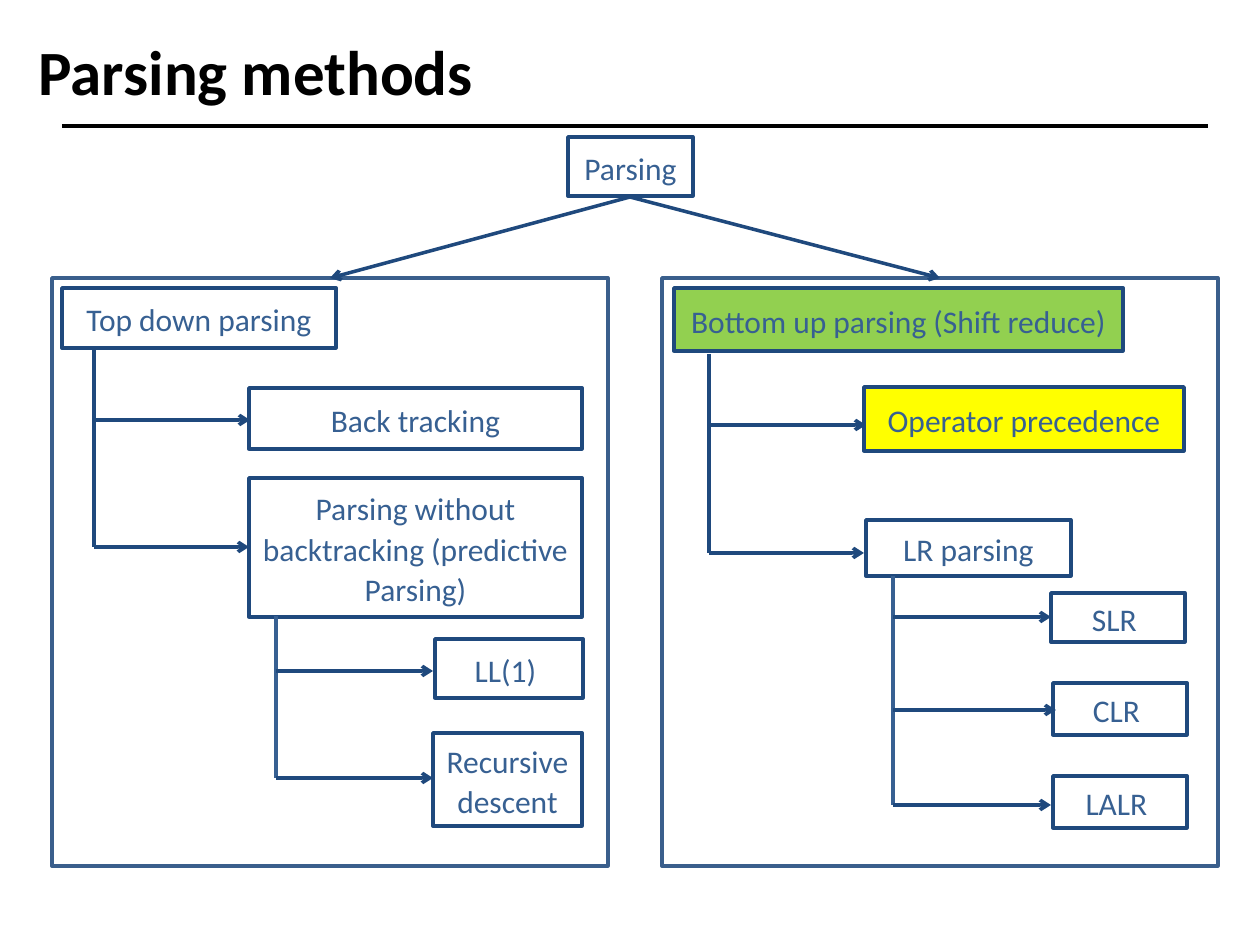
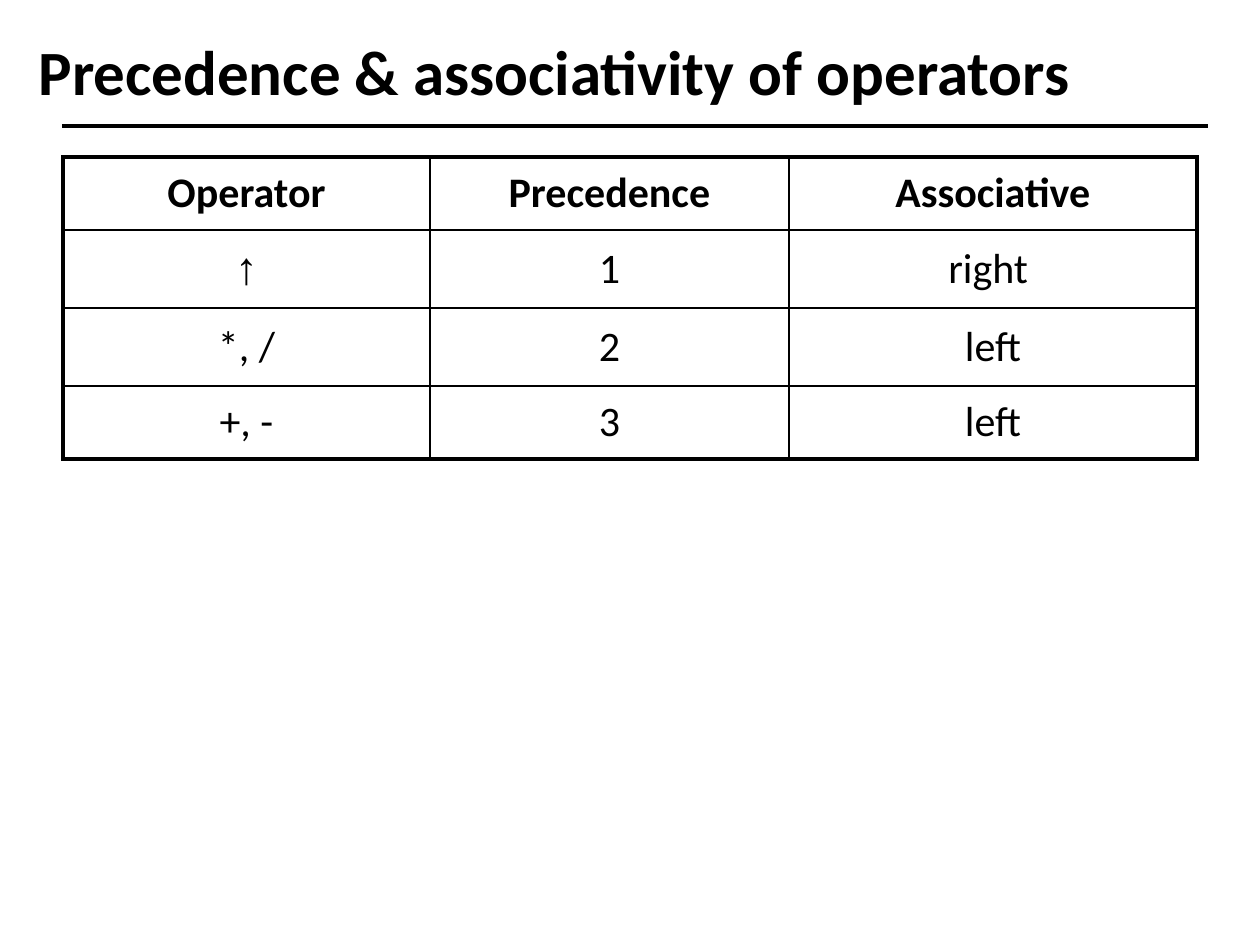
from lxml.etree import SubElement
from pptx import Presentation
from pptx.dml.color import RGBColor
from pptx.enum.shapes import MSO_CONNECTOR, MSO_SHAPE
from pptx.enum.text import MSO_ANCHOR, MSO_AUTO_SIZE, PP_ALIGN
from pptx.oxml.ns import qn
from pptx.util import Inches, Pt

PX = 7257  # EMU in one px, 126 px to the inch
FONT = "Calibri"
BLACK = "000000"
NAVY = "1F497D"
BLUE = "376092"
FRAME_BLUE = "3A5F8C"
GREEN = "92D050"
YELLOW = "FFFF00"
hex_colour = RGBColor.from_string


def add_run(paragraph, text, size, colour, bold=False, font=FONT):
    run = paragraph.add_run()
    run.text = text
    run.font.name = font
    run.font.size = Pt(size)
    run.font.bold = bold
    run.font.color.rgb = hex_colour(colour)


def draw_line(slide, x1, y1, x2, y2, colour=NAVY, width=2, arrow=False):
    line = slide.shapes.add_connector(
        MSO_CONNECTOR.STRAIGHT, x1 * PX, y1 * PX, x2 * PX, y2 * PX)
    line.line.color.rgb = hex_colour(colour)
    line.line.width = Pt(width)
    if arrow:
        SubElement(line.line._get_or_add_ln(), qn("a:tailEnd"), type="arrow")
    SubElement(line._element.spPr, qn("a:effectLst"))


deck = Presentation()
deck.slide_width, deck.slide_height = Inches(10), Inches(7.5)

# Both slides: title with a rule below it
slides = []
for heading in ("Parsing methods", "Precedence & associativity of operators"):
    slide = deck.slides.add_slide(deck.slide_layouts[5])
    title = slide.shapes.title
    title.left, title.top = 26 * PX, 15 * PX
    title.width, title.height = 1207 * PX, 111 * PX
    frame = title.text_frame
    frame.word_wrap = True
    frame.auto_size = MSO_AUTO_SIZE.NONE
    frame.vertical_anchor = MSO_ANCHOR.MIDDLE
    frame.paragraphs[0].alignment = PP_ALIGN.LEFT
    add_run(frame.paragraphs[0], heading, 36, BLACK, bold=True)
    draw_line(slide, 62, 126, 1208, 126, BLACK, 2.25)
    slides.append(slide)
tree_slide, operator_slide = slides

# Slide 1: tree of parsing methods, as (left, top, width, height, lines, fill)
methods = [
    (568, 137, 125, 59, ["Parsing"], None),
    (62, 288, 274, 60, ["Top down parsing"], None),
    (674, 288, 449, 63, ["Bottom up parsing (Shift reduce)"], GREEN),
    (249, 388, 333, 61, ["Back tracking"], None),
    (249, 478, 333, 139, ["Parsing without backtracking (predictive Parsing)"], None),
    (435, 639, 148, 59, ["LL(1) "], None),
    (433, 733, 149, 93, ["Recursive", " descent "], None),
    (864, 387, 320, 64, ["Operator precedence"], YELLOW),
    (866, 520, 205, 56, ["LR parsing"], None),
    (1051, 593, 134, 49, ["SLR "], None),
    (1053, 683, 134, 52, ["CLR "], None),
    (1053, 776, 134, 52, ["LALR "], None),
]
families = [(left, 278, 556, 588, [], None) for left in (52, 662)]

for left, top, width, height, lines, fill in methods + families:
    box = tree_slide.shapes.add_shape(
        MSO_SHAPE.RECTANGLE, left * PX, top * PX, width * PX, height * PX)
    box.shadow.inherit = False
    box.line.color.rgb = hex_colour(NAVY if lines else FRAME_BLUE)
    box.line.width = Pt(2)
    if fill:
        box.fill.solid()
        box.fill.fore_color.rgb = hex_colour(fill)
    else:
        box.fill.background()
    frame = box.text_frame
    frame.word_wrap = True
    frame.vertical_anchor = MSO_ANCHOR.MIDDLE
    for index, text in enumerate(lines):
        paragraph = frame.add_paragraph() if index else frame.paragraphs[0]
        paragraph.alignment = PP_ALIGN.CENTER
        paragraph.line_spacing = 1.07
        paragraph.space_after = Pt(8 if len(lines) == 1 else 0)
        add_run(paragraph, text, 18, BLUE)

for family_x in (330, 940):
    draw_line(tree_slide, 630, 197, family_x, 278, arrow=True)

# Each trunk ends at its last branch: (x, top, colour, [(branch end, y)])
trunks = [
    (94, 348, NAVY, [(250, 420), (249, 547)]),
    (276, 616, BLUE, [(433, 671), (433, 778)]),
    (709, 354, NAVY, [(866, 425), (864, 553)]),
    (893, 576, BLUE, [(1051, 617), (1056, 710), (1051, 805)]),
]
for trunk_x, top, colour, branches in trunks:
    draw_line(tree_slide, trunk_x, top, trunk_x, branches[-1][1], colour)
    for end_x, y in branches:
        draw_line(tree_slide, trunk_x, y, end_x, y, arrow=True)

# Slide 2: operator table
operators = [
    ("Operator", "Precedence", "Associative"),
    ("↑", "1", "right "),
    ("*, /", "2", "left"),
    ("+, -", "3", "left"),
]
column_widths = (367, 359, 408)
row_heights = (73, 78, 78, 73)
table = operator_slide.shapes.add_table(
    len(row_heights), len(column_widths), 63 * PX, 157 * PX,
    sum(column_widths) * PX, sum(row_heights) * PX).table
table.first_row = table.horz_banding = False
for column, width in zip(table.columns, column_widths):
    column.width = width * PX
for row, height in zip(table.rows, row_heights):
    row.height = height * PX

last_row, last_column = len(row_heights) - 1, len(column_widths) - 1
for r, texts in enumerate(operators):
    for c, text in enumerate(texts):
        cell = table.cell(r, c)
        cell.vertical_anchor = MSO_ANCHOR.MIDDLE
        paragraph = cell.text_frame.paragraphs[0]
        paragraph.alignment = PP_ALIGN.CENTER
        size, font = (26, "Arial") if text == "↑" else (24, FONT)
        add_run(paragraph, text, size, BLACK, bold=r == 0, font=font)

        # Thick border on the outer edges; borders come before the fill
        properties = cell._tc.get_or_add_tcPr()
        outer_edges = {"L": c == 0, "R": c == last_column,
                       "T": r == 0, "B": r == last_row}
        for side, is_outer in outer_edges.items():
            border = SubElement(properties, qn(f"a:ln{side}"),
                                w=str(Pt(2.25 if is_outer else 1)))
            solid = SubElement(border, qn("a:solidFill"))
            SubElement(solid, qn("a:srgbClr"), val=BLACK)
        cell.fill.background()

deck.save("out.pptx")
